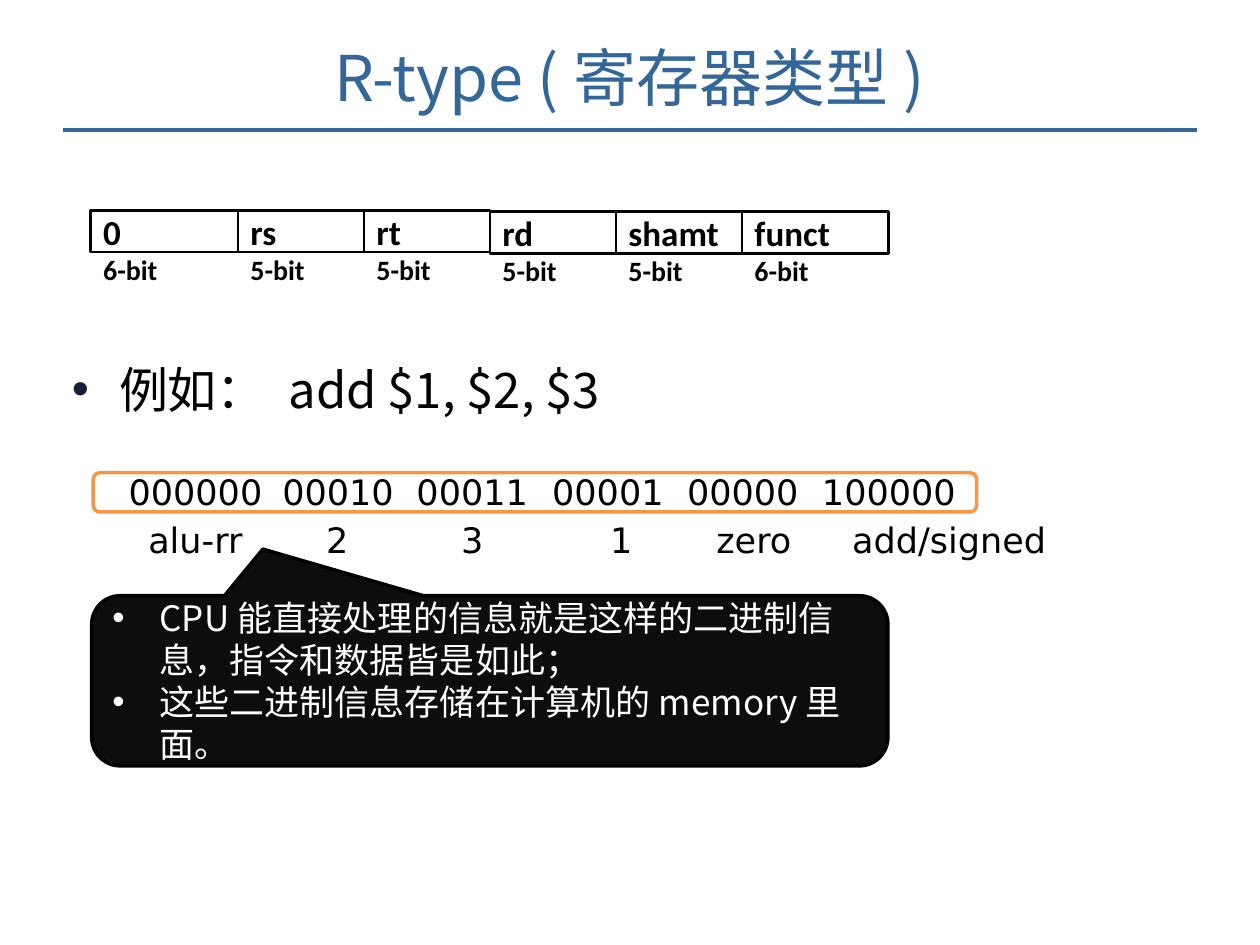
from lxml.etree import SubElement
from pptx import Presentation
from pptx.dml.color import RGBColor
from pptx.enum.shapes import MSO_CONNECTOR as Link, MSO_SHAPE as Preset
from pptx.enum.text import MSO_ANCHOR as Anchor, PP_ALIGN as Align
from pptx.oxml.ns import qn
from pptx.util import Cm, Pt

COLORS = {
    "title": "336699", "ink": "000000", "paper": "FFFFFF",
    "bullet": "151F36", "highlight": "F79646", "callout": "0D0D0D",
}
CJK, SANS, LABEL = "Noto Sans CJK SC", "DejaVu Sans", "Calibri"


def rgb(name):
    return RGBColor.from_string(COLORS[name])


class SlideBuilder:
    def __init__(self, slide):
        self.slide = slide

    def style(self, paragraph, text, size, face, color="ink", bold=False,
              align=Align.LEFT, bullet=None, indent=0, before=0, after=0):
        paragraph.text = text
        paragraph.alignment = align
        paragraph.space_before, paragraph.space_after = Pt(before), Pt(after)
        properties = paragraph._p.get_or_add_pPr()
        if indent:
            properties.set("marL", str(Cm(indent)))
        if bullet:
            properties.set("indent", str(-Cm(indent)))
            bullet_color = SubElement(properties, qn("a:buClr"))
            SubElement(bullet_color, qn("a:srgbClr"), val=COLORS[bullet])
            SubElement(properties, qn("a:buFont"), typeface="Arial")
            SubElement(properties, qn("a:buChar"), char="•")
        font = paragraph.font
        font.size, font.name, font.bold = Pt(size), face, bold
        font.color.rgb = rgb(color)
        SubElement(properties.find(qn("a:defRPr")), qn("a:ea"), typeface=face)

    def frame(self, frame, margins, anchor, wrap=True):
        (frame.margin_left, frame.margin_top,
         frame.margin_right, frame.margin_bottom) = map(Cm, margins)
        frame.vertical_anchor, frame.word_wrap = anchor, wrap

    def text(self, box, content, anchor=Anchor.TOP, **style):
        frame = self.slide.shapes.add_textbox(*map(Cm, box)).text_frame
        self.frame(frame, (0, 0, 0, 0), anchor)
        self.style(frame.paragraphs[0], content, **style)

    def rule(self, x1, y1, x2, y2, color, width):
        line = self.slide.shapes.add_connector(
            Link.STRAIGHT, Cm(x1), Cm(y1), Cm(x2), Cm(y2))
        line.line.color.rgb, line.line.width = rgb(color), Pt(width)
        SubElement(line._element.spPr, qn("a:effectLst"))

    def shape(self, preset, box, line, width, fill=None):
        shape = self.slide.shapes.add_shape(preset, *map(Cm, box))
        shape.shadow.inherit = False
        shape.line.color.rgb, shape.line.width = rgb(line), Pt(width)
        if fill:
            shape.fill.solid()
            shape.fill.fore_color.rgb = rgb(fill)
        else:
            shape.fill.background()
        return shape

    def field(self, box, name, bits):
        frame = self.shape(Preset.RECTANGLE, box, "ink", 1.5, "paper").text_frame
        self.frame(frame, (0.25, 0, 0.25, 0.13), Anchor.TOP, wrap=False)
        self.style(frame.paragraphs[0], name, 20, LABEL, bold=True)
        self.style(frame.add_paragraph(), f"{bits}-bit", 16, LABEL, bold=True)

    def callout(self, box, adjustments, points):
        shape = self.shape(Preset.ROUNDED_RECTANGULAR_CALLOUT, box,
                           "ink", 2, "callout")
        for index, value in enumerate(adjustments):
            shape.adjustments[index] = value
        frame = shape.text_frame
        self.frame(frame, (0.25, 0.13, 0.25, 0.13), Anchor.MIDDLE)
        for index, point in enumerate(points):
            paragraph = frame.add_paragraph() if index else frame.paragraphs[0]
            self.style(paragraph, point, 20, CJK, "paper",
                       bullet="paper", indent=0.95)

    def table(self, left, top, widths, row_height, rows):
        table = self.slide.shapes.add_table(
            len(rows), len(widths), Cm(left), Cm(top),
            Cm(sum(widths)), Cm(row_height * len(rows))).table
        table.first_row = table.horz_banding = False
        for column, width in zip(table.columns, widths):
            column.width = Cm(width)
        for r, (top_margin, entries) in enumerate(rows):
            table.rows[r].height = Cm(row_height)
            for c, (content, indent) in enumerate(entries):
                cell = table.cell(r, c)
                cell.fill.background()
                cell.margin_left = cell.margin_right = cell.margin_bottom = 0
                cell.margin_top = Cm(top_margin)
                centred = indent is None
                self.style(cell.text_frame.paragraphs[0], content, 20, SANS,
                           align=Align.CENTER if centred else Align.LEFT,
                           indent=indent or 0)


def main():
    deck = Presentation()
    deck.slide_width, deck.slide_height = Cm(25.4), Cm(19.05)
    page = SlideBuilder(deck.slides.add_slide(deck.slide_layouts[6]))

    page.rule(1.27, 2.62, 24.13, 2.62, "title", 2)
    page.text((0, 0.58, 25.4, 1.9), "R-type (寄存器类型)", Anchor.MIDDLE,
              size=36, face=CJK, color="title", align=Align.CENTER)
    page.text((1.45, 7.24, 22.66, 1.19), "例如： add $1, $2, $3",
              size=28, face=CJK, bullet="bullet", indent=0.95, after=6)

    encoding = [("000000", None), ("00010", 0.25), ("00011", None),
                ("00001", 0.25), ("00000", 0.25), ("100000", 0.25)]
    meaning = [("alu-rr", None), ("2", None), ("3", None),
               ("1", 1.42), ("zero", 0.84), ("add/signed", 0.86)]
    page.table(2.44, 9.53, [3] + [2.72] * 4 + [4.83], 0.89,
               [(0, encoding), (0.09, meaning)])
    page.shape(Preset.ROUNDED_RECTANGLE, (1.88, 9.53, 17.81, 0.79),
               "highlight", 2)
    page.callout((1.85, 12.01, 16.05, 3.43), (-0.285, -0.774, 0.167), [
        "CPU能直接处理的信息就是这样的二进制信息，指令和数据皆是如此；",
        "这些二进制信息存储在计算机的memory里面。",
    ])

    left = 1.83
    fields = [("0", 6, 2.97), ("rs", 5, 2.54), ("rt", 5, 2.54),
              ("rd", 5, 2.54), ("shamt", 5, 2.54), ("funct", 6, 2.95)]
    for index, (name, bits, width) in enumerate(fields):
        top = 4.24 if index < 3 else 4.27
        page.field((left, top, width, 0.84), name, bits)
        left += width

    deck.save("out.pptx")


if __name__ == "__main__":
    main()
